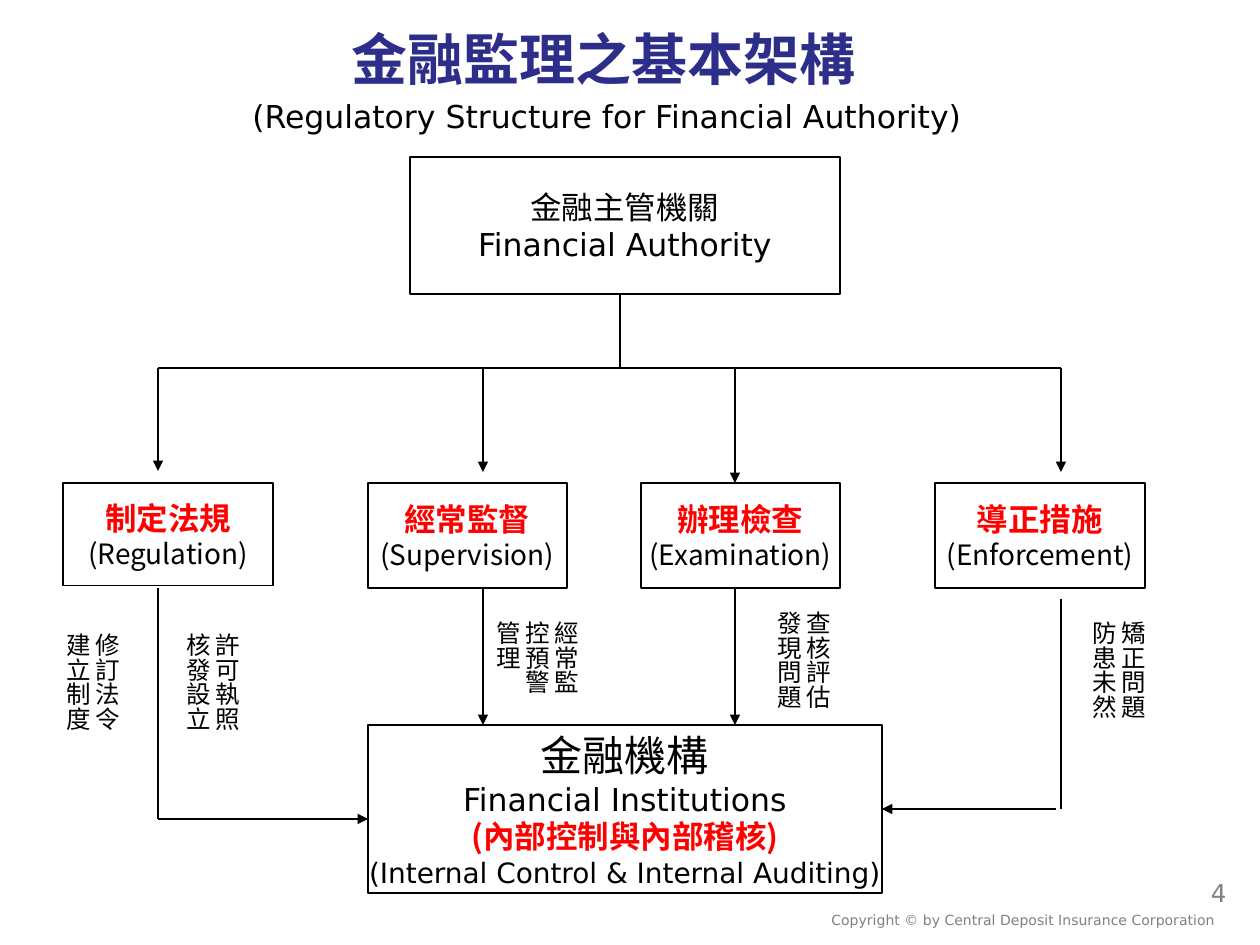
import pptx
import pptx.util
from lxml import etree
from pptx.dml.color import RGBColor
from pptx.enum.shapes import MSO_CONNECTOR, MSO_SHAPE
from pptx.enum.text import MSO_ANCHOR, MSO_AUTO_SIZE, PP_ALIGN
from pptx.oxml.ns import qn

PX = 914400 // 126
SANS = "DejaVu Sans"
CJK = "Noto Sans CJK SC"
BLACK = RGBColor(0, 0, 0)
WHITE = RGBColor(255, 255, 255)
RED = RGBColor(255, 0, 0)
NAVY = RGBColor(0x2D, 0x2D, 0x8A)
GRAY = RGBColor(0x80, 0x80, 0x80)

# left, width, height, arrow x, arrow end, Chinese name, English name
DUTIES = [
    (63, 210, 103, 158, 471, "制定法規", "(Regulation)"),
    (368, 199, 105, 483, 472, "經常監督", "(Supervision)"),
    (641, 199, 105, 735, 483, "辦理檢查", "(Examination)"),
    (935, 210, 105, 1061, 472, "導正措施", "(Enforcement)"),
]
DUTY_TOP = 483
BUS_Y = 368

# left, top, width, height, text
TASKS = [
    (64, 621, 64, 126, "修訂法令建立制度"),
    (165, 621, 83, 126, "許可執照核發設立"),
    (504, 609, 83, 116, "經常監控預警管理"),
    (756, 599, 83, 126, "查核評估發現問題"),
    (1071, 609, 83, 126, "矯正問題防患未然"),
]


def px(*lengths):
    return [length * PX for length in lengths]


def style(span, size, color=BLACK, bold=False, font=SANS):
    span.font.size = pptx.util.Pt(size)
    span.font.color.rgb = color
    span.font.bold = bold
    span.font.name = font
    east_asian = etree.SubElement(span.font._element, qn("a:ea"))
    east_asian.set("typeface", CJK)


def add_title(page, heading, subtitle):
    title = page.shapes.title
    title.left, title.top, title.width, title.height = px(189, 26, 829, 131)
    frame = title.text_frame
    frame.text = heading + "\v" + subtitle
    frame.auto_size = MSO_AUTO_SIZE.NONE
    frame.vertical_anchor = MSO_ANCHOR.MIDDLE
    para = frame.paragraphs[0]
    para.alignment = PP_ALIGN.CENTER
    para.line_spacing = pptx.util.Pt(25)
    heading_span, subtitle_span = para.runs
    style(heading_span, 32, NAVY, True)
    style(subtitle_span, 18)


def add_box(page, left, top, width, height, lines):
    """Outlined rectangle; each line is its text followed by style() arguments."""
    box = page.shapes.add_shape(MSO_SHAPE.RECTANGLE, *px(left, top, width, height))
    box.shadow.inherit = False
    box.fill.solid()
    box.fill.fore_color.rgb = WHITE
    box.line.color.rgb = BLACK
    box.line.width = pptx.util.Pt(0.75)
    frame = box.text_frame
    frame.word_wrap = False
    frame.vertical_anchor = MSO_ANCHOR.MIDDLE
    frame.text = "\n".join(line[0] for line in lines)
    for para, (_, *look) in zip(frame.paragraphs, lines):
        para.alignment = PP_ALIGN.CENTER
        style(para.runs[0], *look)
    return box


def add_label(page, left, top, width, height, text, size, color, alignment=PP_ALIGN.LEFT):
    label = page.shapes.add_textbox(*px(left, top, width, height))
    frame = label.text_frame
    frame.word_wrap = True
    frame.text = text
    frame.paragraphs[0].alignment = alignment
    style(frame.paragraphs[0].runs[0], size, color)
    return frame


def add_task(page, left, top, width, height, text):
    """Label set in vertical columns that run from right to left."""
    frame = add_label(page, left, top, width, height, text, 14, BLACK)
    frame.margin_left, frame.margin_right = px(6, 6)
    frame.margin_top, frame.margin_bottom = px(12, 12)
    frame.auto_size = MSO_AUTO_SIZE.SHAPE_TO_FIT_TEXT
    frame._txBody.bodyPr.set("vert", "eaVert")


def add_line(page, x1, y1, x2, y2, arrow=False):
    line = page.shapes.add_connector(MSO_CONNECTOR.STRAIGHT, *px(x1, y1, x2, y2))
    line.line.color.rgb = BLACK
    line.line.width = pptx.util.Pt(0.75)
    if arrow:
        tail = etree.SubElement(line.line._get_or_add_ln(), qn("a:tailEnd"))
        tail.set("type", "triangle")
    etree.SubElement(line._element.spPr, qn("a:effectLst"))
    return line


def main():
    deck = pptx.Presentation()
    deck.slide_width = pptx.util.Inches(10)
    deck.slide_height = pptx.util.Inches(7.5)
    page = deck.slides.add_slide(deck.slide_layouts[5])

    add_title(page, "金融監理之基本架構", " (Regulatory Structure for Financial Authority)")
    add_box(page, 410, 157, 430, 137,
            [("金融主管機關", 18), ("Financial Authority", 18)])
    institutions = add_box(page, 368, 725, 514, 168, [
        ("金融機構", 24),
        ("Financial Institutions", 18),
        ("(內部控制與內部稽核)", 18, RED, True, CJK),
        ("(Internal Control & Internal Auditing)", 16),
    ])

    first_x, supervision_x, examination_x, last_x = [duty[3] for duty in DUTIES]
    add_line(page, 620, 294, 620, BUS_Y)
    add_line(page, first_x, BUS_Y, last_x, BUS_Y)
    for left, width, height, arrow_x, arrow_end, chinese, english in DUTIES:
        add_box(page, left, DUTY_TOP, width, height,
                [(chinese, 18, RED, True, CJK), (english, 16, BLACK, False, CJK)])
        add_line(page, arrow_x, BUS_Y, arrow_x, arrow_end, arrow=True)

    for x in (supervision_x, examination_x):
        add_line(page, x, 588, x, 725, arrow=True)
    add_line(page, first_x, 588, first_x, 819)
    add_line(page, first_x, 819, 368, 819, arrow=True)
    add_line(page, last_x, 599, last_x, 809)
    enforcement = add_line(page, 1056, 809, 882, 809, arrow=True)
    enforcement.end_connect(institutions, 3)

    for task in TASKS:
        add_task(page, *task)

    add_label(page, 819, 905, 452, 30,
              "Copyright © by Central Deposit Insurance Corporation", 8, GRAY)
    add_label(page, 977, 872, 262, 63, "4", 14, GRAY, PP_ALIGN.RIGHT)
    deck.save("out.pptx")


if __name__ == "__main__":
    main()
